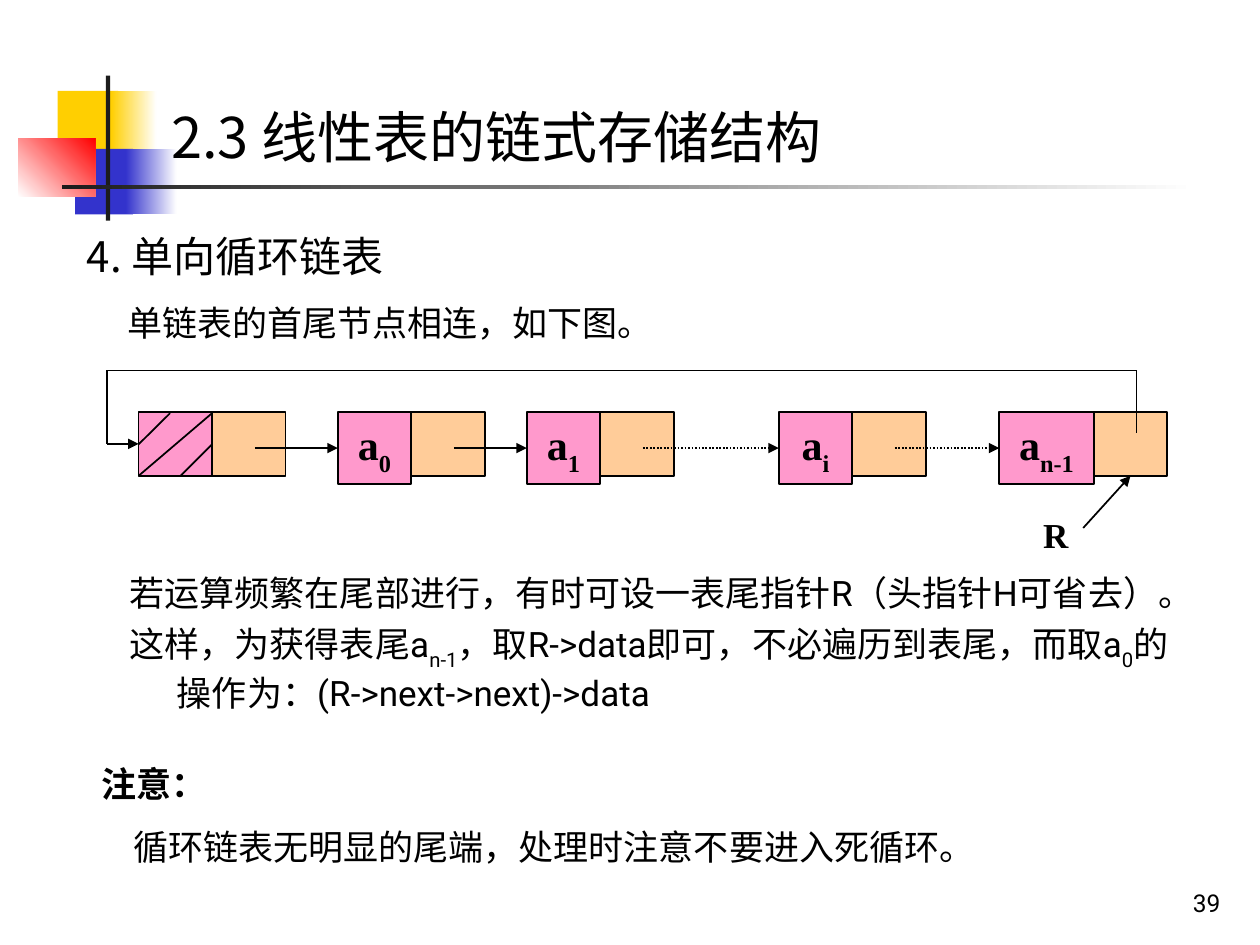
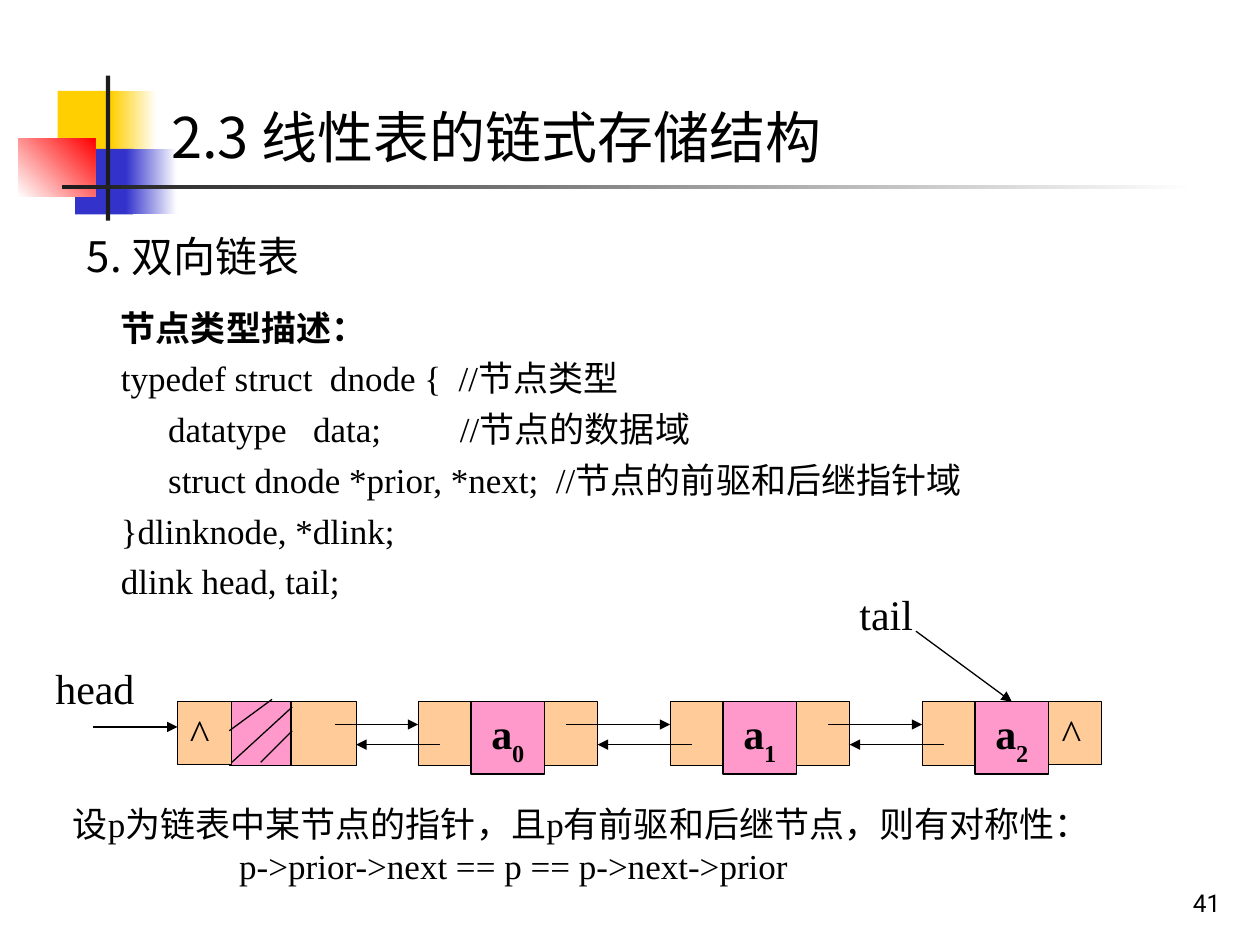
from pptx import Presentation
from pptx.util import Pt
from pptx.dml.color import RGBColor
from pptx.enum.dml import MSO_LINE
from pptx.enum.shapes import MSO_CONNECTOR, MSO_SHAPE
from pptx.enum.text import MSO_ANCHOR, PP_ALIGN
from pptx.oxml.ns import qn
from lxml.etree import SubElement

BLACK = RGBColor(0, 0, 0)
WHITE = RGBColor(255, 255, 255)
DARK = RGBColor(0x1C, 0x1C, 0x1C)
GOLD = RGBColor(0xFF, 0xCF, 0x01)
BLUE = RGBColor(0x33, 0x33, 0xCC)
RED = RGBColor(255, 0, 0)
PINK = RGBColor(0xFF, 0x99, 0xCC)
PEACH = RGBColor(0xFF, 0xCC, 0x99)

SERIF = "Times New Roman"
SANS = "Roboto"
HEAD = "Noto Sans CJK SC"
MAIN = "Noto Sans CJK JP"

TITLE = "2.3 线性表的链式存储结构"
CELL_W, CELL_H, DATA_H = 42, 36.5, 41.3
TOP, LEFT, BOTTOM = range(3)


# Text
def write(par, parts, font, size, bold=False):
    """Add runs to a paragraph; every second part is a subscript."""
    for i, part in enumerate(parts):
        run = par.add_run()
        run.text = part
        run.font.size = Pt(size)
        run.font.bold = bold
        run.font.color.rgb = BLACK
        run.font.name = font
        props = run._r.get_or_add_rPr()
        SubElement(props, qn("a:ea"),
                   typeface=SANS if font == SERIF else font)
        if i % 2:
            props.set("baseline", "-30000")


def setup(frame, anchor=MSO_ANCHOR.TOP, wrap=True):
    frame.word_wrap = wrap
    frame.vertical_anchor = anchor
    frame.margin_left = frame.margin_right = Pt(7.2)
    frame.margin_top = frame.margin_bottom = Pt(3.6)
    return frame


def add_box(slide, x, y, w, h, anchor=MSO_ANCHOR.TOP):
    box = slide.shapes.add_textbox(Pt(x), Pt(y), Pt(w), Pt(h))
    return setup(box.text_frame, anchor)


def add_par(frame, *parts, font=SANS, size=20, bold=False, gap=0,
            line=1.0, margin=0, hang=0):
    par = frame.paragraphs[0]
    if par.runs:
        par = frame.add_paragraph()
        par.space_before = Pt(gap)
    par.line_spacing = line
    props = par._p.get_or_add_pPr()
    props.set("marL", str(Pt(margin)))
    props.set("indent", str(-Pt(hang)))
    props.set("hangingPunct", "0")
    write(par, parts, font, size, bold)
    return par


# Shapes and lines
def add_rect(slide, x, y, w, h):
    rect = slide.shapes.add_shape(
        MSO_SHAPE.RECTANGLE, Pt(x), Pt(y), Pt(w), Pt(h))
    rect.shadow.inherit = False
    return rect


def add_band(slide, x, y, w, h, start, end=None, angle=0):
    band = add_rect(slide, x, y, w, h)
    band.line.fill.background()
    if end is None:
        band.fill.solid()
        band.fill.fore_color.rgb = start
        return
    band.fill.gradient()
    band.fill.gradient_angle = angle
    for stop, color in zip(band.fill.gradient_stops, (start, end)):
        stop.color.rgb = color


def add_cell(slide, x, y, w, h, color, weight):
    cell = add_rect(slide, x, y, w, h)
    cell.fill.solid()
    cell.fill.fore_color.rgb = color
    cell.line.color.rgb = BLACK
    cell.line.width = Pt(weight)
    setup(cell.text_frame, wrap=False)
    cell.text_frame.paragraphs[0].alignment = PP_ALIGN.LEFT
    return cell


def add_data(slide, x, y, w, index, weight):
    cell = add_cell(slide, x, y, w, DATA_H, PINK, weight)
    par = cell.text_frame.paragraphs[0]
    par.alignment = PP_ALIGN.CENTER
    write(par, ["a", index], SERIF, 24, True)
    return cell


def add_line(slide, x1, y1, x2, y2, weight, arrow=False, dots=False,
             join=None):
    line = slide.shapes.add_connector(
        MSO_CONNECTOR.STRAIGHT, Pt(x1), Pt(y1), Pt(x2), Pt(y2))
    line.line.color.rgb = BLACK
    line.line.width = Pt(weight)
    if dots:
        line.line.dash_style = MSO_LINE.ROUND_DOT
    if arrow:
        SubElement(line.line._get_or_add_ln(), qn("a:tailEnd"),
                   type="triangle")
    SubElement(line._element.spPr, qn("a:effectLst"))
    if join:
        line.end_connect(*join)


# Shared slide frame
def add_slide(deck, heading, number):
    slide = deck.slides.add_slide(deck.slide_layouts[5])
    add_band(slide, 33, 52, 34.5, 37.5, GOLD)
    add_band(slide, 63.5, 52, 26, 37.5, GOLD, WHITE)
    add_band(slide, 43, 85, 33, 37.5, BLUE)
    add_band(slide, 72, 85, 29, 37.5, BLUE, WHITE)
    add_band(slide, 10.5, 79, 44, 33.5, WHITE, RED, 45)
    add_band(slide, 60.5, 43.2, 2.5, 83, DARK)
    add_band(slide, 35.5, 105.7, 648, 2.3, DARK, WHITE)

    title = slide.shapes.title
    title.left, title.top = Pt(90.7), Pt(54.7)
    title.width, title.height = Pt(629), Pt(46)
    title.element.getparent().append(title.element)
    frame = setup(title.text_frame, MSO_ANCHOR.MIDDLE)
    add_par(frame, TITLE, font=MAIN, size=32).alignment = PP_ALIGN.LEFT

    frame = add_box(slide, 42.5, 128, 533, 36, MSO_ANCHOR.MIDDLE)
    add_par(frame, heading, font=HEAD, size=24)
    frame = add_box(slide, 554.5, 491.8, 150, 36, MSO_ANCHOR.BOTTOM)
    add_par(frame, number, size=14).alignment = PP_ALIGN.RIGHT
    return slide


# Slide 1: circular list
def draw_ring(slide):
    y, reach, weight = 235.4, 24.4, 1
    first = add_cell(slide, 79.2, y, CELL_W, CELL_H, PINK, weight)
    last = add_cell(slide, 121.2, y, CELL_W, CELL_H, PEACH, weight)
    for x1, y1, x2, y2 in ((18, 0.7, 0, 18.5), (42, 0.7, 0, 36.5),
                           (42, 18.5, 24, 36.5)):
        add_line(slide, 79.2 + x1, y + y1, 79.2 + x2, y + y2, weight)

    start = 121.2 + reach
    nodes = ((193, 42, "0", False), (301, 42, "1", False),
             (445, 42, "i", True), (571, 54, "n-1", True))
    for x, w, index, dots in nodes:
        last = add_cell(slide, x + w, y, CELL_W, CELL_H, PEACH, weight)
        data = add_data(slide, x, y, w, index, weight)
        mid = y + DATA_H / 2
        add_line(slide, start, mid, x, mid, weight, True, dots, (data, LEFT))
        start = x + w + reach

    # Way back from the last node to the first
    roof, side, mid = 211.7, 61.2, y + CELL_H / 2
    add_line(slide, start, roof, start, 247.7, weight)
    add_line(slide, side, roof, start, roof, weight)
    add_line(slide, side, roof, side, mid, weight)
    add_line(slide, side, mid, 79.2, mid, weight, True, join=(first, LEFT))

    frame = add_box(slide, 589, 290, 36, 32)
    add_par(frame, "R", font=SERIF, bold=True)
    add_line(slide, 619, 301.7, 646, 272, weight, True, join=(last, BOTTOM))


def build_ring(deck):
    slide = add_slide(deck, "4. 单向循环链表", "39")
    frame = add_box(slide, 65.5, 166.3, 434, 44)
    add_par(frame, "单链表的首尾节点相连，如下图。", line=1.1)
    draw_ring(slide)

    frame = add_box(slide, 67, 318.2, 622, 96.5)
    add_par(frame, "若运算频繁在尾部进行，有时可设一表尾指针R（头指针H可省去）。",
            line=1.2, margin=27, hang=27)
    add_par(frame, "这样，为获得表尾a", "n-1",
            "，取R->data即可，不必遍历到表尾，而取a", "0",
            "的操作为：(R->next->next)->data", gap=5, margin=27, hang=27)
    frame = add_box(slide, 51, 424.8, 632, 86.4)
    add_par(frame, "注意：", bold=True, line=1.3)
    add_par(frame, "循环链表无明显的尾端，处理时注意不要进入死循环。",
            gap=5, line=1.3, margin=18)


# Slide 2: doubly linked list
def add_null(slide, x, y, w, inset):
    cell = add_cell(slide, x, y, w, 36, PEACH, 0.75)
    cell.text_frame.margin_left = Pt(inset)
    write(cell.text_frame.paragraphs[0], ["^"], SERIF, 24)


def draw_chain(slide):
    y, weight = 401, 0.75
    add_cell(slide, 131, y, CELL_W, CELL_H, PINK, weight)
    add_null(slide, 101.5, y, 31, 7.2)
    add_cell(slide, 166.3, y, 37.4, CELL_H, PEACH, weight)
    for ends in ((155.5, 399.6, 131, 417.6), (167, 404, 132.5, 435.6),
                 (167, 417.6, 149, 435.6)):
        add_line(slide, *ends, weight)

    edge = 203.5
    for i, start in enumerate((191.5, 323.3, 473)):
        x = 239 + 144 * i
        add_cell(slide, x, y, CELL_W, CELL_H, PEACH, weight)
        if i == 2:
            add_null(slide, x + 60.5, y, CELL_W, 19.2)
        else:
            add_cell(slide, x + 60.5, y, CELL_W, CELL_H, PEACH, weight)
        data = add_data(slide, x + 30.2, y, CELL_W, str(i), weight)
        add_line(slide, start, 414, x, 414, weight, True)
        add_line(slide, x + 12.2, 425.5, edge, 425.5, weight, True)
        edge = x + 60.5 + CELL_W

    # Entry pointers
    for name, x, top in (("head", 24.5, 375), ("tail", 484, 332.6)):
        add_par(add_box(slide, x, top, 68, 36), name, font=SERIF, size=24)
    add_line(slide, 53.3, 415.4, 101.5, 415.4, weight, True)
    add_line(slide, 523.4, 360.7, 578.2, y, weight, True, join=(data, TOP))


def build_chain(deck):
    slide = add_slide(deck, "5. 双向链表", "41")
    frame = add_box(slide, 62, 171.4, 605.5, 204.5)
    add_par(frame, "节点类型描述：", bold=True)
    code = (("typedef struct  dnode {  //节点类型", 0),
            ("datatype   data;         //节点的数据域", 27),
            ("struct dnode *prior, *next;  //节点的前驱和后继指针域", 27),
            ("}dlinknode, *dlink;", 0),
            ("dlink head, tail;", 0))
    for row, margin in code:
        add_par(frame, row, font=SERIF, gap=5, margin=margin)
    draw_chain(slide)

    frame = add_box(slide, 34.6, 455, 612, 55.5)
    add_par(frame, "设p为链表中某节点的指针，且p有前驱和后继节点，则有对称性：",
            font=SERIF)
    add_par(frame, "p->prior->next == p == p->next->prior",
            font=SERIF, margin=95)


def main():
    deck = Presentation()
    deck.slide_width, deck.slide_height = Pt(720), Pt(540)
    build_ring(deck)
    build_chain(deck)
    deck.save("out.pptx")


if __name__ == "__main__":
    main()
